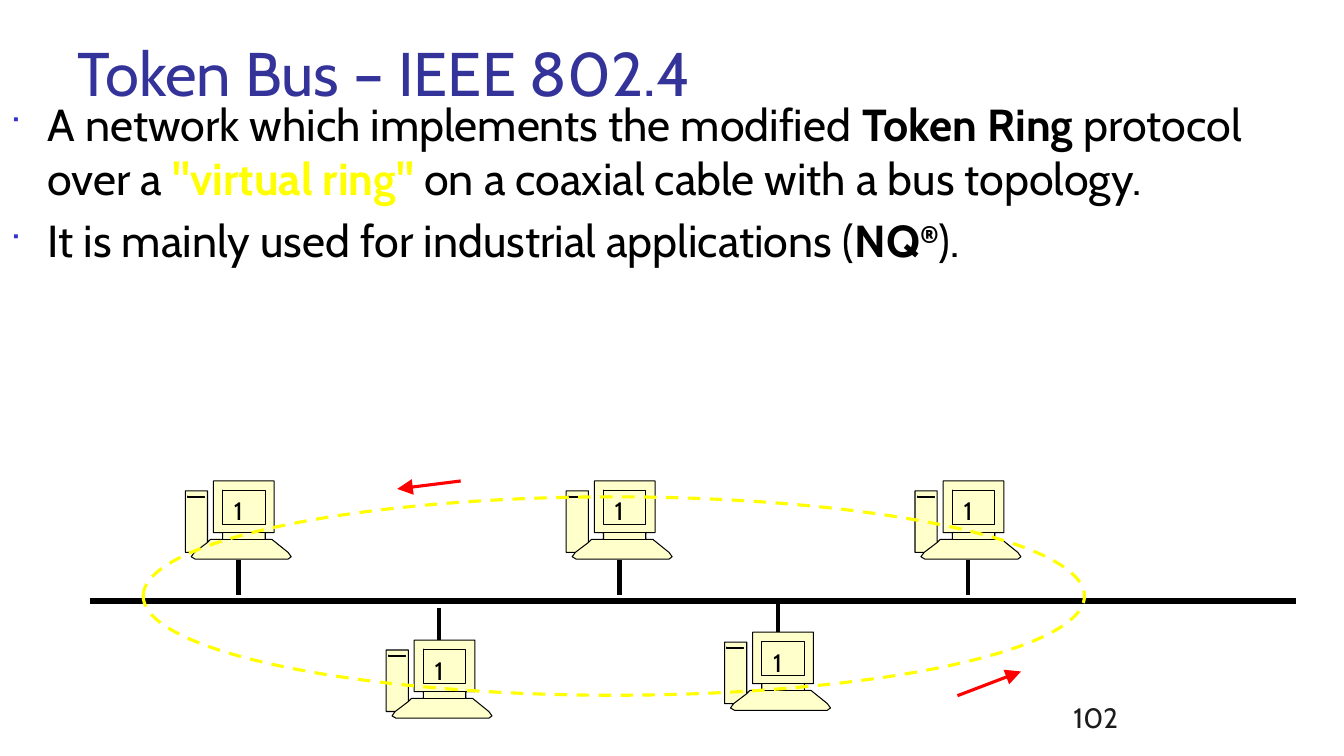
from dataclasses import dataclass
from typing import Optional

from lxml.etree import SubElement
from pptx import Presentation
from pptx.dml.color import RGBColor
from pptx.enum.dml import MSO_LINE
from pptx.enum.shapes import MSO_CONNECTOR, MSO_SHAPE
from pptx.enum.text import MSO_ANCHOR as Anchor, PP_ALIGN as Align
from pptx.oxml.ns import qn
from pptx.util import Cm, Pt

Point = tuple[float, float]


@dataclass(frozen=True)
class Theme:
    font: str = "Cabin"
    bullet_font: str = "Wingdings"
    title: str = "333399"
    ink: str = "000000"
    number: str = "1C1C1C"
    bullet: str = "3333CC"
    ring: str = "FFFF00"
    station: str = "FFFFCC"
    token: str = "FF0000"
    title_size: int = 44
    body_size: int = 32
    number_size: int = 20
    label_size: int = 18


@dataclass(frozen=True)
class Span:
    text: str
    bold: bool = False
    color: Optional[str] = None
    superscript: bool = False


@dataclass(frozen=True)
class Station:
    left: float
    top: float
    above_bus: bool


@dataclass(frozen=True)
class Area:
    left: float
    top: float
    width: float
    height: float


THEME = Theme()

POINTS = [
    [
        Span("A network which implements the modified "),
        Span("Token Ring", bold=True),
        Span(" protocol over a "),
        Span('"virtual ring"', bold=True, color=THEME.ring),
        Span(" on a coaxial cable with a bus topology."),
    ],
    [
        Span("It is mainly used for industrial applications ("),
        Span("NQ", bold=True),
        Span("®", bold=True, superscript=True),
        Span(")."),
    ],
]

STATIONS = [
    Station(4.67, 12.12, True),
    Station(14.27, 12.12, True),
    Station(23.06, 12.12, True),
    Station(9.73, 16.13, False),
    Station(18.26, 15.93, False),
]
STATION_CENTER = 1.34
STATION_OUTLINE = [
    (0.56, 1.55), (0.64, 1.47), (0.94, 1.47), (0.94, 1.3), (0.71, 1.3),
    (0.71, 0), (2.24, 0), (2.24, 1.3), (2.01, 1.3), (2.01, 1.47),
    (2.18, 1.47), (2.59, 1.8), (2.67, 1.91), (2.59, 1.97), (0.25, 1.97),
    (0.15, 1.91), (0.23, 1.8), (0, 1.8), (0, 0.25), (0.56, 0.25),
    (0.56, 1.55), (0.23, 1.8),
]
STATION_DETAILS = [
    Area(0.94, 0.23, 1.07, 0.86),
    Area(0.94, 1.3, 1.07, 0.17),
    Area(0.06, 0.38, 0.43, 0.03),
]


def rgb(color: str) -> RGBColor:
    return RGBColor.from_string(color)


def add_bullet(paragraph) -> None:
    properties = paragraph._p.get_or_add_pPr()
    properties.set("marL", str(Cm(0.95)))
    properties.set("indent", str(Cm(-0.95)))
    bullet_color = SubElement(properties, qn("a:buClr"))
    SubElement(bullet_color, qn("a:srgbClr"), val=THEME.bullet)
    SubElement(properties, qn("a:buSzPct"), val="60000")
    SubElement(properties, qn("a:buFont"), typeface=THEME.bullet_font)
    SubElement(properties, qn("a:buChar"), char="■")


def write_text(frame, paragraphs: list[list[Span]], *, size: int,
               color: str = THEME.ink, anchor=Anchor.TOP, align=Align.LEFT,
               bulleted: bool = False, gap: float = 0) -> None:
    frame.word_wrap = True
    frame.vertical_anchor = anchor
    for index, spans in enumerate(paragraphs):
        paragraph = frame.add_paragraph() if index else frame.paragraphs[0]
        paragraph.alignment = align
        if bulleted:
            add_bullet(paragraph)
        if index:
            paragraph.space_before = Pt(gap)
        for span in spans:
            run = paragraph.add_run()
            run.text = span.text
            run.font.name = THEME.font
            run.font.size = Pt(size)
            run.font.bold = span.bold
            run.font.color.rgb = rgb(span.color or color)
            if span.superscript:
                run._r.get_or_add_rPr().set("baseline", "30000")


def add_frame(slide, area: Area):
    return slide.shapes.add_textbox(
        Cm(area.left), Cm(area.top), Cm(area.width), Cm(area.height)).text_frame


def add_line(slide, start: Point, end: Point, color: str, width: float,
             arrow: bool = False) -> None:
    connector = slide.shapes.add_connector(
        MSO_CONNECTOR.STRAIGHT, Cm(start[0]), Cm(start[1]), Cm(end[0]), Cm(end[1]))
    connector.line.color.rgb = rgb(color)
    connector.line.width = Pt(width)
    properties = connector._element.spPr
    if arrow:
        SubElement(properties.find(qn("a:ln")), qn("a:tailEnd"),
                   type="triangle", w="lg", len="lg")
    SubElement(properties, qn("a:effectLst"))


def retraced_rectangle(area: Area) -> list[Point]:
    right, bottom = area.left + area.width, area.top + area.height
    loop = [(area.left, area.top), (right, area.top), (right, bottom),
            (area.left, bottom), (area.left, area.top)]
    return loop + loop[-2::-1]


def add_station(slide, station: Station) -> None:
    def place(points: list[Point]) -> list[tuple[int, int]]:
        return [(Cm(station.left + x), Cm(station.top + y)) for x, y in points]

    center = station.left + STATION_CENTER
    near, far = (2.0, 2.87) if station.above_bus else (0.08, -0.8)
    add_line(slide, (center, station.top + far), (center, station.top + near),
             THEME.ink, 3)
    outline = place(STATION_OUTLINE)
    builder = slide.shapes.build_freeform(*outline[0])
    builder.add_line_segments(outline[1:], close=True)
    for detail in STATION_DETAILS:
        corners = place(retraced_rectangle(detail))
        builder.move_to(*corners[0])
        builder.add_line_segments(corners[1:], close=False)
    computer = builder.convert_to_shape()
    computer.shadow.inherit = False
    computer.fill.solid()
    computer.fill.fore_color.rgb = rgb(THEME.station)
    computer.line.color.rgb = rgb(THEME.ink)
    computer.line.width = Pt(0.75)
    label = computer.text_frame
    label.margin_top, label.margin_bottom = Cm(0), Cm(0.46)
    write_text(label, [[Span("1")]], size=THEME.label_size,
               anchor=Anchor.MIDDLE, align=Align.CENTER)


def add_virtual_ring(slide) -> None:
    ring = slide.shapes.add_shape(
        MSO_SHAPE.OVAL, Cm(3.61), Cm(12.52), Cm(23.72), Cm(5))
    ring.shadow.inherit = False
    ring.fill.background()
    ring.line.color.rgb = rgb(THEME.ring)
    ring.line.width = Pt(2.25)
    ring.line.dash_style = MSO_LINE.DASH


def main() -> None:
    deck = Presentation()
    deck.slide_width, deck.slide_height = Cm(33.87), Cm(19.05)
    slide = deck.slides.add_slide(deck.slide_layouts[6])
    write_text(add_frame(slide, Area(26.8, 17.35, 7.06, 1.27)), [[Span("102")]],
               size=THEME.number_size, color=THEME.number, anchor=Anchor.BOTTOM)
    write_text(add_frame(slide, Area(1.7, 0.76, 30.48, 3.18)),
               [[Span("Token Bus – IEEE 802.4")]],
               size=THEME.title_size, color=THEME.title)
    write_text(add_frame(slide, Area(0, 2.31, 33.87, 16.74)), POINTS,
               size=THEME.body_size, bulleted=True, gap=6.4)
    add_line(slide, (2.26, 15.14), (32.66, 15.14), THEME.ink, 4.5)
    for station in STATIONS:
        add_station(slide, station)
    add_virtual_ring(slide)
    add_line(slide, (11.61, 12.12), (10.01, 12.32), THEME.token, 2.25, arrow=True)
    add_line(slide, (24.13, 17.53), (25.73, 16.92), THEME.token, 2.25, arrow=True)
    deck.save("out.pptx")


if __name__ == "__main__":
    main()
